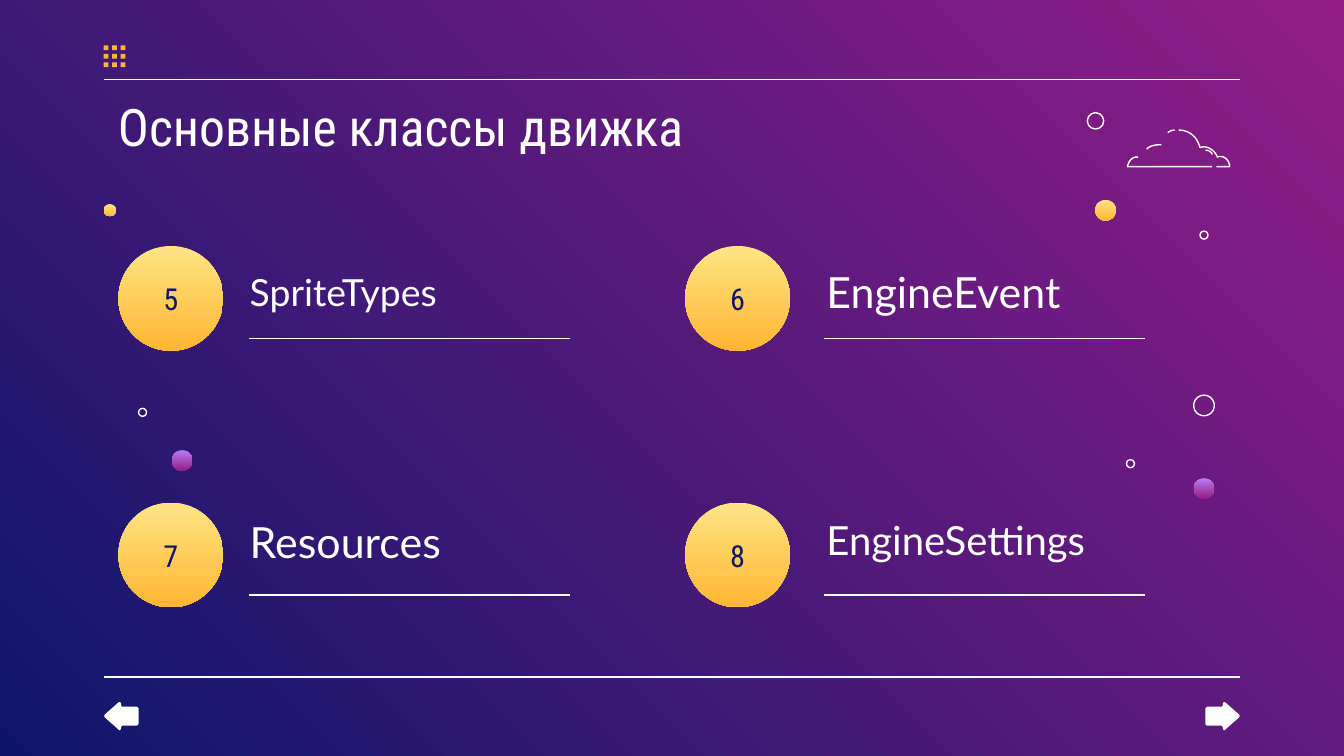
from lxml.etree import SubElement
from pptx import Presentation
from pptx.dml.color import RGBColor
from pptx.enum.shapes import MSO_CONNECTOR, MSO_SHAPE
from pptx.enum.text import MSO_ANCHOR, PP_ALIGN
from pptx.oxml.ns import qn
from pptx.util import Cm, Pt

WHITE = RGBColor(0xFF, 0xFF, 0xFF)
NAVY = RGBColor(0x0E, 0x16, 0x6C)
PLUM = RGBColor(0x92, 0x1D, 0x87)
LILAC = RGBColor(0xBE, 0x7A, 0xF3)
CREAM = RGBColor(0xFF, 0xE4, 0x85)
AMBER = RGBColor(0xFF, 0xB6, 0x32)
GOLD = (CREAM, AMBER)
PURPLE = (LILAC, PLUM)
HEAD, BODY = "Roboto Condensed", "Lato"

# Content; all lengths in centimetres
WIDE, HIGH = 25.4, 14.29
TITLE = "Основные классы движка"
# number, name, size, column, row, text top, text width
ITEMS = [
    ("5", "SpriteTypes", 20, 0, 0, 4.83, 6.07),
    ("6", "EngineEvent", 23, 1, 0, 4.78, 5.18),
    ("7", "Resources", 23, 0, 1, 9.5, 5.18),
    ("8", "EngineSettings", 21.5, 1, 1, 9.5, 5.84),
]
# circle left, name left, rule left
COLS = [(2.24, 4.47, 4.7), (12.95, 15.37, 15.57)]
ROWS = [4.65, 9.5]
DISC, RULE = 1.98, 6.07

# left, top, size, gradient (None makes a ring)
DOTS = [
    (20.7, 3.78, 0.39, GOLD), (1.96, 3.86, 0.23, GOLD),
    (22.56, 9.04, 0.39, PURPLE), (3.25, 8.51, 0.39, PURPLE),
    (22.68, 4.37, 0.15, None), (20.55, 2.13, 0.31, None),
    (22.56, 7.47, 0.39, None), (21.29, 8.69, 0.15, None),
    (2.62, 7.72, 0.15, None),
]

# Outlines: a pair is a straight step, six numbers are a Bezier curve
CLOUD = [
    [(22.28, 2.46), (22.48, 2.46, 22.63, 2.59, 22.68, 2.79),
     (22.81, 2.74, 22.96, 2.84, 23.01, 2.97),
     (23.11, 2.92, 23.24, 3.02, 23.24, 3.15), (22.99, 3.15)],
    [(22.2, 2.46), (22.2, 2.46, 22.12, 2.46, 22.07, 2.51)],
    [(22.91, 3.15), (21.31, 3.15), (21.31, 3.15, 21.34, 2.95, 21.51, 2.97)],
    [(22.78, 2.84), (22.78, 2.84, 22.89, 2.84, 22.91, 2.92)],
    [(21.95, 2.74), (21.95, 2.74, 21.77, 2.72, 21.67, 2.82)],
]
ARROW = [
    (23.16, 13.79), (23.42, 13.56), (23.43, 13.55, 23.43, 13.52, 23.42, 13.51),
    (23.16, 13.28), (23.14, 13.26, 23.11, 13.28, 23.11, 13.31),
    (23.11, 13.34), (23.09, 13.36), (22.81, 13.36), (22.78, 13.39),
    (22.78, 13.69), (22.81, 13.72), (23.09, 13.72), (23.11, 13.74),
    (23.11, 13.77), (23.11, 13.79, 23.14, 13.82, 23.16, 13.79),
]

deck = Presentation()
deck.slide_width, deck.slide_height = Cm(WIDE), Cm(HIGH)
slide = deck.slides.add_slide(deck.slide_layouts[6])
shapes = slide.shapes


def blend(fill, pair, angle):
    fill.gradient()
    fill.gradient_angle = angle
    for stop, tone in zip(fill.gradient_stops, pair):
        stop.color.rgb = tone


def paint(shape, fill=None):
    """Fill with a gradient pair or a colour; without either, draw an outline."""
    shape.shadow.inherit = False
    if fill is None:
        shape.fill.background()
        shape.line.color.rgb = WHITE
        shape.line.width = Pt(0.75)
        return
    shape.line.fill.background()
    if isinstance(fill, RGBColor):
        shape.fill.solid()
        shape.fill.fore_color.rgb = fill
    else:
        blend(shape.fill, fill, 270)


def add(kind, x, y, size, fill):
    paint(shapes.add_shape(kind, Cm(x), Cm(y), Cm(size), Cm(size)), fill)


def rule(x, y, width):
    line = shapes.add_connector(
        MSO_CONNECTOR.STRAIGHT, Cm(x), Cm(y), Cm(x + width), Cm(y))
    line.line.color.rgb = WHITE
    line.line.width = Pt(0.75)
    SubElement(line.element.spPr, qn("a:effectLst"))


def write(text, x, y, width, height, size, font=BODY, color=WHITE,
          align=PP_ALIGN.LEFT, anchor=MSO_ANCHOR.TOP):
    frame = shapes.add_textbox(Cm(x), Cm(y), Cm(width), Cm(height)).text_frame
    frame.word_wrap = True
    frame.vertical_anchor = anchor
    frame.margin_left = frame.margin_right = Cm(0.25)
    frame.margin_top = frame.margin_bottom = Cm(0.25)
    para = frame.paragraphs[0]
    para.alignment = align
    run = para.add_run()
    run.text = text
    run.font.size, run.font.name = Pt(size), font
    run.font.color.rgb = color


def trace(steps, flip=False):
    """Turn steps into points, with eight short pieces for each curve."""
    points = [steps[0]]
    for step in steps[1:]:
        if len(step) == 2:
            points.append(step)
            continue
        start = points[-1]
        for n in range(1, 9):
            t = n / 8
            s = 1 - t
            points.append(tuple(
                s**3 * start[i] + 3 * s * s * t * step[i]
                + 3 * s * t * t * step[i + 2] + t**3 * step[i + 4]
                for i in (0, 1)))
    return [(Cm(WIDE - x if flip else x), Cm(y)) for x, y in points]


def outline(points, fill=None):
    path = shapes.build_freeform(*points[0])
    path.add_line_segments(points[1:], close=fill is not None)
    paint(path.convert_to_shape(), fill)


# Background, frame rules and title
blend(slide.background.fill, (PLUM, NAVY), 225)
for y in (1.5, 12.8):
    rule(1.96, y, 21.48)
write(TITLE, 1.98, 1.55, 21.44, 1.68, 27.7, font=HEAD)

# Numbered classes
for number, name, size, col, row, top, width in ITEMS:
    left, text, start = COLS[col]
    y = ROWS[row]
    add(MSO_SHAPE.OVAL, left, y, DISC, GOLD)
    write(number, left, y + 0.4, DISC, 1.19, 16.2, font=HEAD, color=NAVY,
          align=PP_ALIGN.CENTER, anchor=MSO_ANCHOR.MIDDLE)
    rule(start, y + 1.75, RULE)
    write(name, text, top, width, 1.65, size)

# Grid icon
for i in range(9):
    add(MSO_SHAPE.RECTANGLE, 1.96 + i // 3 * 0.16, 0.86 + i % 3 * 0.16,
        0.09, AMBER)

# Dots, rings, cloud and arrows
for x, y, size, fill in DOTS:
    add(MSO_SHAPE.OVAL, x, y, size, fill)
for part in CLOUD:
    outline(trace(part))
for flip in (False, True):
    outline(trace(ARROW, flip), WHITE)

deck.save("out.pptx")
